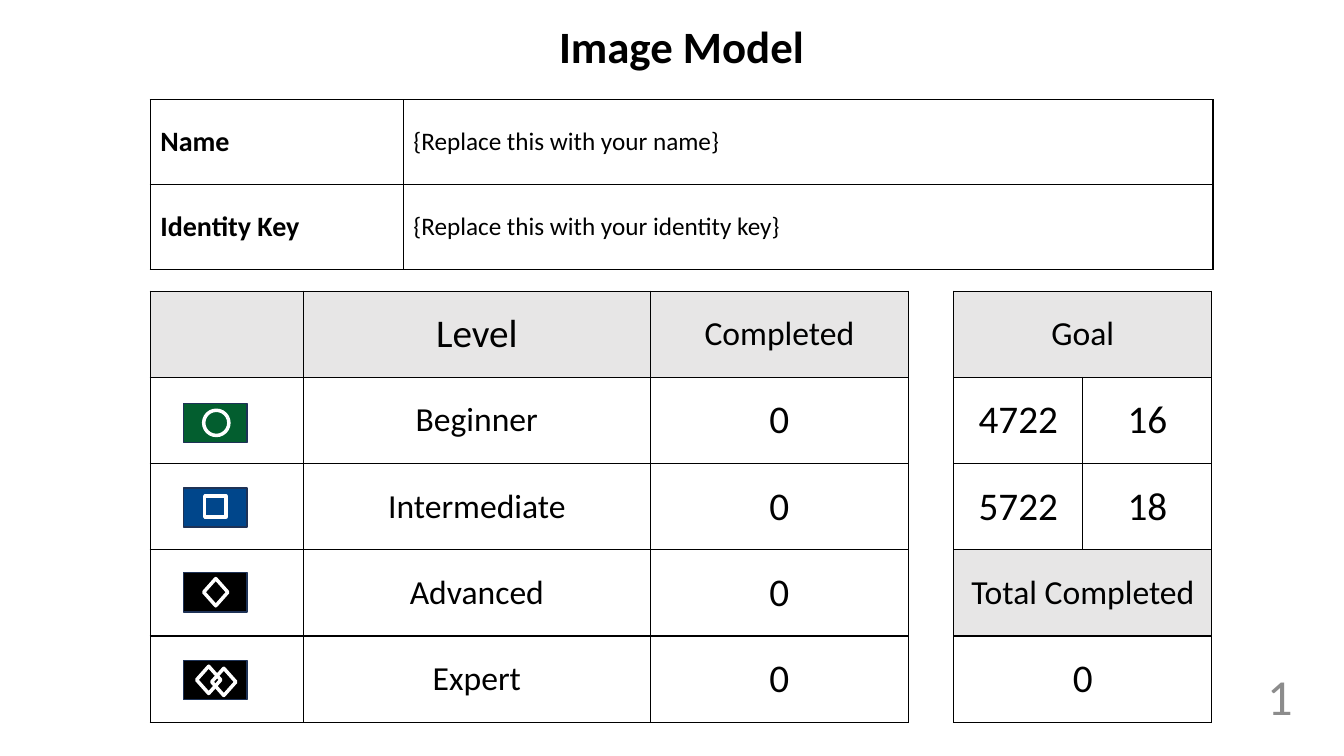
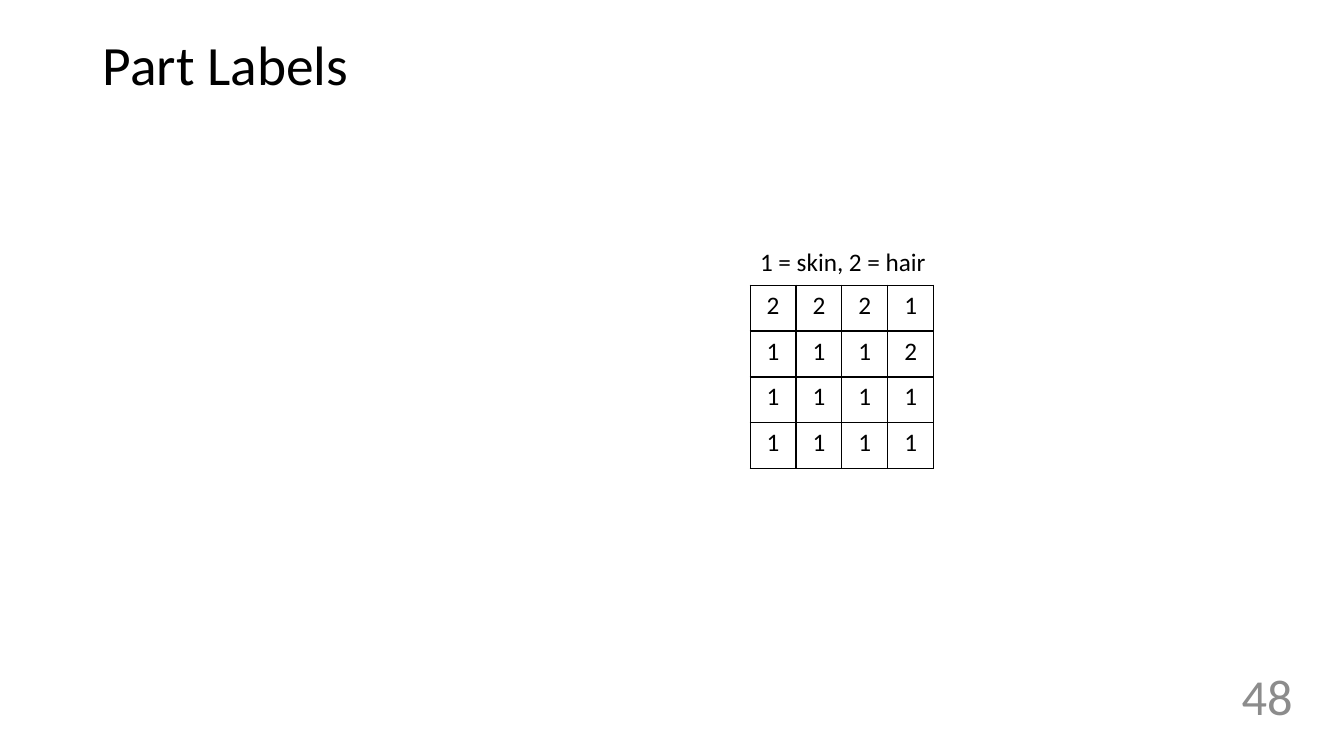
import pptx
import pptx.util
import pptx.dml.color
import pptx.enum.shapes
import pptx.enum.text
import pptx.oxml
import pptx.oxml.ns

Inches = pptx.util.Inches
Pt = pptx.util.Pt
SHAPE = pptx.enum.shapes.MSO_SHAPE
ALIGN = pptx.enum.text.PP_ALIGN
ANCHOR = pptx.enum.text.MSO_ANCHOR

FONT = "Calibri"
COLORS = {
    "text": "000000",
    "number": "8C8C8C",
    "header": "E7E6E6",
    "badge_line": "1E3256",
    "symbol": "FFFFFF",
    "green": "035E2F",
    "blue": "00468B",
    "black": "000000",
}
TITLE_ONLY = 5
LEFT, WIDTH = 1.49, 10.54
GOAL_LEFT, GOAL_WIDTH = 9.46, 2.56
ROW_HEIGHT = 0.855
LEVELS_TOP = 2.89


def rgb(name):
    return pptx.dml.color.RGBColor.from_string(COLORS[name])


def box(left, top, width, height):
    return [Inches(v) for v in (left, top, width, height)]


def write(tf, text, size, bold=False, align=ALIGN.LEFT, color="text"):
    p = tf.paragraphs[0]
    p.alignment = align
    r = p.add_run()
    r.text = text
    r.font.name = FONT
    r.font.size = Pt(size)
    r.font.bold = bold
    r.font.color.rgb = rgb(color)
    return p


def add_title(slide, area, text, size, bold=False, align=ALIGN.LEFT):
    sp = slide.shapes.title
    sp.left, sp.top, sp.width, sp.height = box(*area)
    tf = sp.text_frame
    tf.auto_size = pptx.enum.text.MSO_AUTO_SIZE.NONE
    tf.vertical_anchor = ANCHOR.MIDDLE
    return write(tf, text, size, bold, align)


def add_text(slide, area, text, size, wrap=True, anchor=ANCHOR.TOP, **style):
    tf = slide.shapes.add_textbox(*box(*area)).text_frame
    tf.word_wrap = wrap
    tf.vertical_anchor = anchor
    write(tf, text, size, **style)


def add_number(slide, number):
    add_text(slide, (11.67, 6.47, 1.25, 0.86), number, 36,
             anchor=ANCHOR.MIDDLE, align=ALIGN.RIGHT, color="number")


def set_borders(cell):
    tcPr = cell._tc.get_or_add_tcPr()
    for i, side in enumerate(("lnL", "lnR", "lnT", "lnB")):
        tcPr.insert(i, pptx.oxml.parse_xml(
            f'<a:{side} {pptx.oxml.ns.nsdecls("a")} w="12700"><a:solidFill>'
            f'<a:srgbClr val="{COLORS["text"]}"/></a:solidFill></a:{side}>'))


def add_table(slide, left, top, columns, row_height, rows, header=False,
              anchor=ANCHOR.MIDDLE, align=ALIGN.CENTER):
    """Each row is a list of (text, size) or (text, size, bold) cells."""
    frame = slide.shapes.add_table(
        len(rows), len(columns),
        *box(left, top, sum(columns), row_height * len(rows)))
    table = frame.table
    table.first_row = table.horz_banding = False
    for column, width in zip(table.columns, columns):
        column.width = Inches(width)
    for i, row in enumerate(rows):
        table.rows[i].height = Inches(row_height)
        for j, content in enumerate(row):
            cell = table.cell(i, j)
            cell.vertical_anchor = anchor
            if header and i == 0:
                cell.fill.solid()
                cell.fill.fore_color.rgb = rgb("header")
            else:
                cell.fill.background()
            set_borders(cell)
            if content:
                write(cell.text_frame, *content, align=align)
    return table


def add_shape(shapes, kind, area, fill, line, weight):
    sp = shapes.add_shape(kind, *box(*area))
    sp.shadow.inherit = False
    if fill:
        sp.fill.solid()
        sp.fill.fore_color.rgb = rgb(fill)
    else:
        sp.fill.background()
    sp.line.color.rgb = rgb(line)
    sp.line.width = Pt(weight)


def add_badge(slide, top, fill, symbols):
    """A coloured plate with white outlined symbols on it."""
    shapes = slide.shapes.add_group_shape().shapes
    add_shape(shapes, SHAPE.RECTANGLE, (1.82, top, 0.63, 0.39),
              fill, "badge_line", 1)
    for i, (kind, left, drop, width, height) in enumerate(symbols):
        add_shape(shapes, kind, (left, top + drop, width, height),
                  None if i else fill, "symbol", 2.5)


def build_summary(prs):
    slide = prs.slides.add_slide(prs.slide_layouts[TITLE_ONLY])
    add_title(slide, (LEFT, 0.13, WIDTH, 0.64), "Image Model", 32,
              bold=True, align=ALIGN.CENTER)

    # Who is taking part
    add_table(slide, LEFT, 0.99, [2.51, 8.03], 0.84, [
        [("Name", 20, True), ("{Replace this with your name}", 18)],
        [("Identity Key", 20, True),
         ("{Replace this with your identity key}", 18)],
    ], align=ALIGN.LEFT)

    # Levels and their badges
    levels = ["Beginner", "Intermediate", "Advanced", "Expert"]
    add_table(slide, LEFT, LEVELS_TOP, [1.52, 3.44, 2.56], ROW_HEIGHT,
              [[None, ("Level", 28), ("Completed", 24)]]
              + [[None, (level, 24), ("0", 28)] for level in levels],
              header=True)
    badges = [
        (4.0, "green", [(SHAPE.OVAL, 2.02, 0.07, 0.25, 0.25)]),
        (4.84, "blue", [(SHAPE.RECTANGLE, 2.03, 0.08, 0.21, 0.21)]),
        (5.68, "black", [(SHAPE.DIAMOND, 2.02, 0.06, 0.24, 0.27)]),
        (6.55, "black", [(SHAPE.DIAMOND, 1.95, 0.06, 0.24, 0.27),
                         (SHAPE.DIAMOND, 2.1, 0.08, 0.24, 0.27)]),
    ]
    for badge in badges:
        add_badge(slide, *badge)

    # Goal and total
    goal = add_table(slide, GOAL_LEFT, LEVELS_TOP, [GOAL_WIDTH / 2] * 2,
                     ROW_HEIGHT, [
                         [("Goal", 24), None],
                         [("4722", 28), ("16", 28)],
                         [("5722", 28), ("18", 28)],
                     ], header=True)
    goal.cell(0, 0).merge(goal.cell(0, 1))
    add_table(slide, GOAL_LEFT, LEVELS_TOP + 3 * ROW_HEIGHT, [GOAL_WIDTH],
              ROW_HEIGHT, [[("Total Completed", 24)], [("0", 28)]],
              header=True)
    add_number(slide, "1")


def build_labels(prs):
    slide = prs.slides.add_slide(prs.slide_layouts[TITLE_ONLY])
    p = add_title(slide, (0.92, 0.4, 11.5, 0.55), "Part Labels", 39.6)
    p.line_spacing = 0.9

    # Grid of part labels with its key
    grid = ["2221", "1112", "1111", "1111"]
    side = 1.82 / len(grid)
    add_table(slide, 7.44, 2.83, [side] * len(grid), side,
              [[(label, 18) for label in row] for row in grid],
              anchor=ANCHOR.TOP)
    add_text(slide, (7.44, 2.39, 1.87, 0.4), "1 = skin, 2 = hair", 18,
             wrap=False)
    add_number(slide, "48")


def main():
    prs = pptx.Presentation()
    prs.slide_width, prs.slide_height = Inches(13.33), Inches(7.5)
    build_summary(prs)
    build_labels(prs)
    prs.save("out.pptx")


if __name__ == "__main__":
    main()
